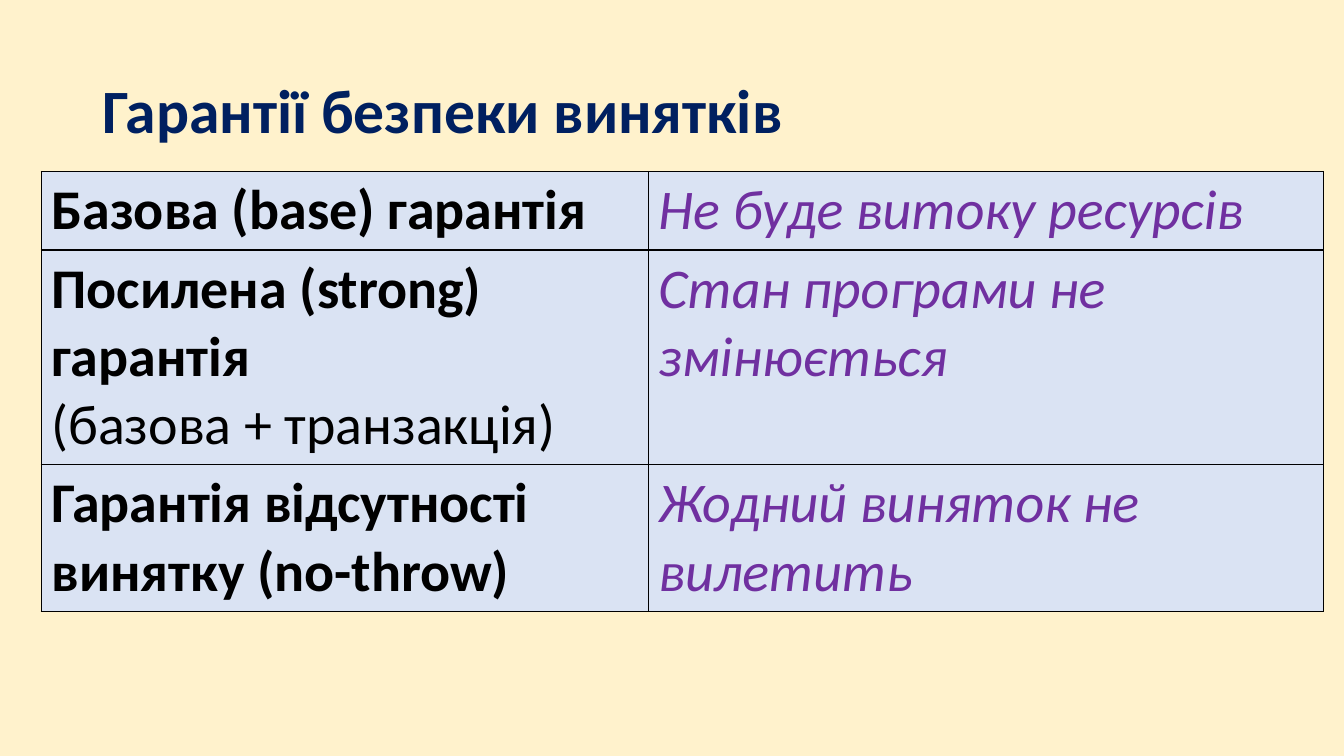
from lxml import etree
from pptx import Presentation
from pptx import util as u
from pptx.dml.color import RGBColor
from pptx.enum import text
from pptx.oxml.ns import qn

FONT = "Calibri"
BACKGROUND, NAVY, PURPLE, BLACK, PALE_BLUE = (
    "FFF2CC", "002060", "7030A0", "000000", "DAE3F3")


def color(value):
    return RGBColor.from_string(value)


def write(p, words, size=40, fill=BLACK, bold=False, italic=False):
    r = p.add_run()
    r.text = words
    r.font.name, r.font.size = FONT, u.Pt(size)
    r.font.bold, r.font.italic = bold, italic
    r.font.color.rgb = color(fill)


class Deck:
    def __init__(self):
        self.prs = Presentation()
        self.prs.slide_width = u.Inches(13.33)
        self.prs.slide_height = u.Inches(7.5)
        self.s = self.prs.slides.add_slide(self.prs.slide_layouts[6])
        fill = self.s.background.fill
        fill.solid()
        fill.fore_color.rgb = color(BACKGROUND)

    def title(self, words, *box):
        tf = self.s.shapes.add_textbox(*map(u.Inches, box)).text_frame
        tf.word_wrap = True
        tf.vertical_anchor = text.MSO_ANCHOR.MIDDLE
        p = tf.paragraphs[0]
        p.line_spacing = 0.9
        write(p, words, size=44, fill=NAVY, bold=True)

    def table(self, rows, left, top, widths, heights):
        box = map(u.Inches, (left, top, sum(widths), sum(heights)))
        table = self.s.shapes.add_table(len(rows), len(widths), *box).table
        for column, width in zip(table.columns, widths):
            column.width = u.Inches(width)
        for row, height, contents in zip(table.rows, heights, rows):
            row.height = u.Inches(height)
            for cell, paragraphs in zip(row.cells, contents):
                self.cell(cell, paragraphs)

    def cell(self, cell, paragraphs):
        tf = cell.text_frame
        for i, (words, style) in enumerate(paragraphs):
            write(tf.add_paragraph() if i else tf.paragraphs[0], words, **style)
        # Borders come before the fill in the cell properties
        pr = cell._tc.get_or_add_tcPr()
        for side in ("a:lnL", "a:lnR", "a:lnT", "a:lnB"):
            line = etree.SubElement(pr, qn(side), w=str(u.Pt(1)))
            solid = etree.SubElement(line, qn("a:solidFill"))
            etree.SubElement(solid, qn("a:srgbClr"), val=BLACK)
        cell.fill.solid()
        cell.fill.fore_color.rgb = color(PALE_BLUE)


def main():
    deck = Deck()

    # Heading
    deck.title("Гарантії безпеки винятків", 0.92, 0.4, 11.5, 1.45)

    # Guarantees and their meaning
    name, meaning = {"bold": True}, {"fill": PURPLE, "italic": True}
    rows = [
        ([("Базова (base) гарантія", name)],
         [("Не буде витоку ресурсів", meaning)]),
        ([("Посилена (strong) гарантія", name), ("(базова + транзакція)", {})],
         [("Стан програми не змінюється", meaning)]),
        ([("Гарантія відсутності винятку (no-throw)", name)],
         [("Жодний виняток не вилетить", meaning)]),
    ]
    deck.table(rows, 0.41, 1.7, widths=(6.02, 6.7), heights=(0.78, 2.13, 1.46))

    deck.prs.save("out.pptx")


if __name__ == "__main__":
    main()
